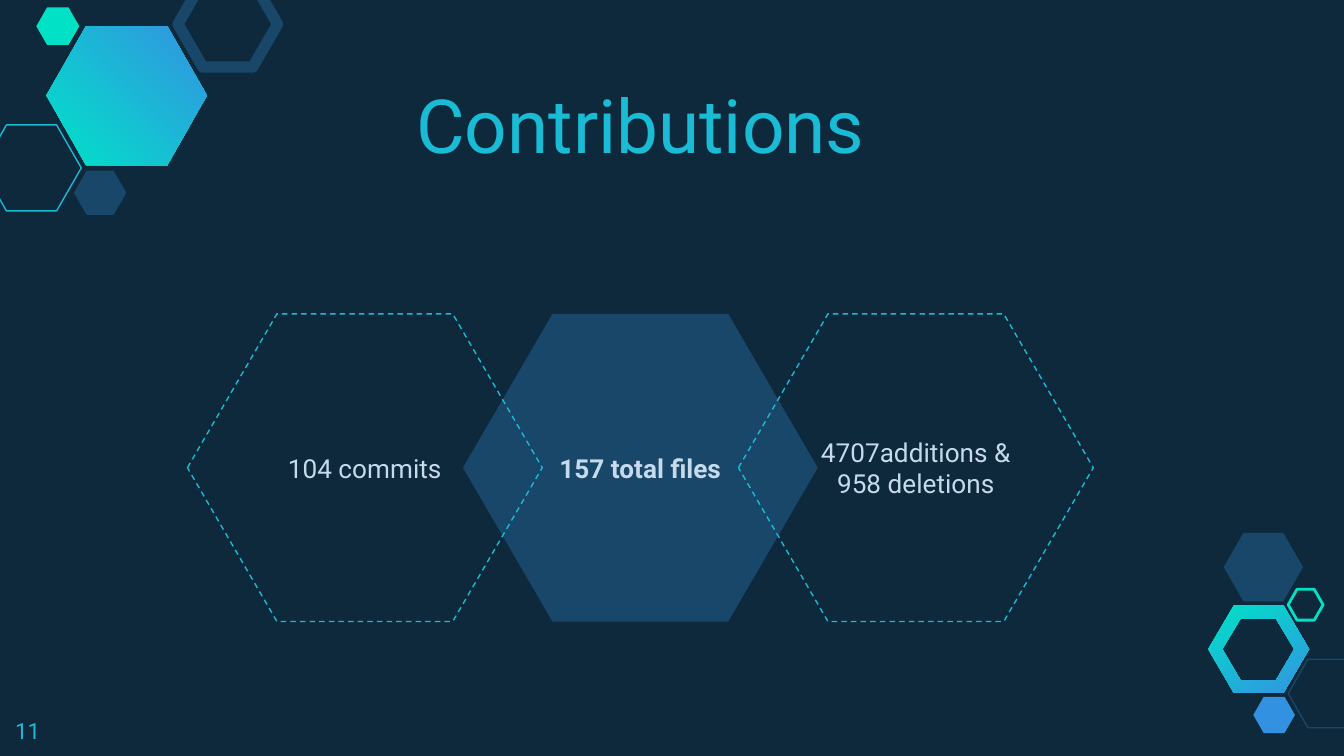
"""Build the Contributions slide with its hexagon figures and corner ornaments."""
from dataclasses import dataclass
from typing import Optional

import pptx
import pptx.dml.color
import pptx.enum.dml
import pptx.enum.shapes
import pptx.enum.text
import pptx.util

PX = 4572
COLORS = {
    "background": "0E293C",
    "navy": "184769",
    "cyan": "19BBD5",
    "teal": "00E2C7",
    "mint": "00E1C6",
    "blue": "3393E2",
    "sky": "3292E1",
    "pale": "C6DAEC",
}


@dataclass
class Hexagon:
    left: int
    top: int
    width: int
    height: int
    fill: Optional[str] = None
    line: Optional[str] = None
    weight: float = 0.75
    dashed: bool = False
    adj: float = 0.287
    text: str = ""
    bold: bool = False


@dataclass
class Outline:
    left: int
    top: int
    width: int
    height: int
    inset: int

    def points(self) -> list[tuple[int, int]]:
        right, bottom = self.left + self.width, self.top + self.height
        middle = self.top + self.height // 2
        x1, x2 = self.left + self.inset, right - self.inset
        return [(x1, bottom), (self.left, middle), (x1, self.top),
                (x2, self.top), (right, middle), (x2, bottom)]


@dataclass
class GradientHexagon:
    outer: Outline
    angle: int
    hole: Optional[Outline] = None


ORNAMENTS = [
    Hexagon(-27, 186, 148, 128, line="cyan"),
    Hexagon(110, 254, 78, 66, fill="navy"),
    Hexagon(265, -28, 148, 128, line="navy", weight=6),
    Hexagon(54, 11, 64, 56, fill="mint"),
    Hexagon(1917, 981, 118, 102, line="navy"),
    Hexagon(1865, 1037, 62, 54, fill="sky"),
    Hexagon(1821, 793, 118, 102, fill="navy"),
    Hexagon(1917, 877, 52, 46, line="mint", weight=1.5),
]
GRADIENTS = [
    GradientHexagon(Outline(1798, 901, 150, 130, 38), 300, Outline(1819, 921, 107, 91, 27)),
    GradientHexagon(Outline(69, 39, 239, 207, 59), 45),
]
FIGURE_LEFT, FIGURE_STEP = 279, 410
FIGURES = [
    (1, "157 total files", {"fill": "navy", "bold": True}),
    (0, "104 commits", {"line": "cyan", "dashed": True}),
    (2, "4707additions & 958 deletions", {"line": "cyan", "dashed": True}),
]


def rgb(name: str) -> pptx.dml.color.RGBColor:
    return pptx.dml.color.RGBColor.from_string(COLORS[name])


def set_text(sp, text: str, size: int, color: str, anchor: str, align: str, bold: bool = False) -> None:
    tf = sp.text_frame
    frame = {"word_wrap": True, "vertical_anchor": pptx.enum.text.MSO_ANCHOR[anchor],
             "auto_size": pptx.enum.text.MSO_AUTO_SIZE.NONE}
    frame.update({f"margin_{side}": 20 * PX for side in ("left", "top", "right", "bottom")})
    for key, value in frame.items():
        setattr(tf, key, value)
    p = tf.paragraphs[0]
    p.alignment = pptx.enum.text.PP_ALIGN[align]
    r = p.add_run()
    r.text = text
    for key, value in {"name": "Roboto", "size": pptx.util.Pt(size), "bold": bold}.items():
        setattr(r.font, key, value)
    r.font.color.rgb = rgb(color)


def draw_hexagon(s, item: Hexagon) -> None:
    sp = s.shapes.add_shape(pptx.enum.shapes.MSO_SHAPE.HEXAGON, item.left * PX,
                            item.top * PX, item.width * PX, item.height * PX)
    sp.shadow.inherit = False
    sp.adjustments[0] = item.adj
    if item.fill:
        sp.fill.solid()
        sp.fill.fore_color.rgb = rgb(item.fill)
    else:
        sp.fill.background()
    if item.line:
        sp.line.color.rgb = rgb(item.line)
        sp.line.width = pptx.util.Pt(item.weight)
    else:
        sp.line.fill.background()
    if item.dashed:
        sp.line.dash_style = pptx.enum.dml.MSO_LINE.DASH
    if item.text:
        set_text(sp, item.text, 14, "pale", "MIDDLE", "CENTER", item.bold)


def draw_gradient(s, item: GradientHexagon) -> None:
    start, *rest = item.outer.points()
    builder = s.shapes.build_freeform(*start, scale=PX)
    builder.add_line_segments(rest, close=True)
    if item.hole:
        start, *rest = reversed(item.hole.points())
        builder.move_to(*start)
        builder.add_line_segments(rest, close=True)
    sp = builder.convert_to_shape()
    sp.shadow.inherit = False
    sp.line.fill.background()
    sp.fill.gradient()
    sp.fill.gradient_angle = item.angle
    for stop, color in zip(sp.fill.gradient_stops, ("teal", "blue")):
        stop.color.rgb = rgb(color)


def main() -> None:
    prs = pptx.Presentation()
    prs.slide_width, prs.slide_height = 2000 * PX, 1125 * PX
    s = prs.slides.add_slide(prs.slide_layouts[5])
    s.background.fill.solid()
    s.background.fill.fore_color.rgb = rgb("background")

    for item in GRADIENTS:
        draw_gradient(s, item)
    for item in ORNAMENTS:
        draw_hexagon(s, item)
    for column, text, style in FIGURES:
        left = FIGURE_LEFT + column * FIGURE_STEP
        draw_hexagon(s, Hexagon(left, 467, 528, 458, adj=0.291, text=text, **style))

    title = s.shapes.title
    for key, value in {"left": 412, "top": 129, "width": 1082, "height": 142}.items():
        setattr(title, key, value * PX)
    set_text(title, "Contributions", 40, "cyan", "BOTTOM", "CENTER")

    number = s.shapes.add_textbox(3 * PX, 1047 * PX, 120 * PX, 78 * PX)
    set_text(number, "11", 12, "cyan", "TOP", "LEFT")
    prs.save("out.pptx")


if __name__ == "__main__":
    main()
